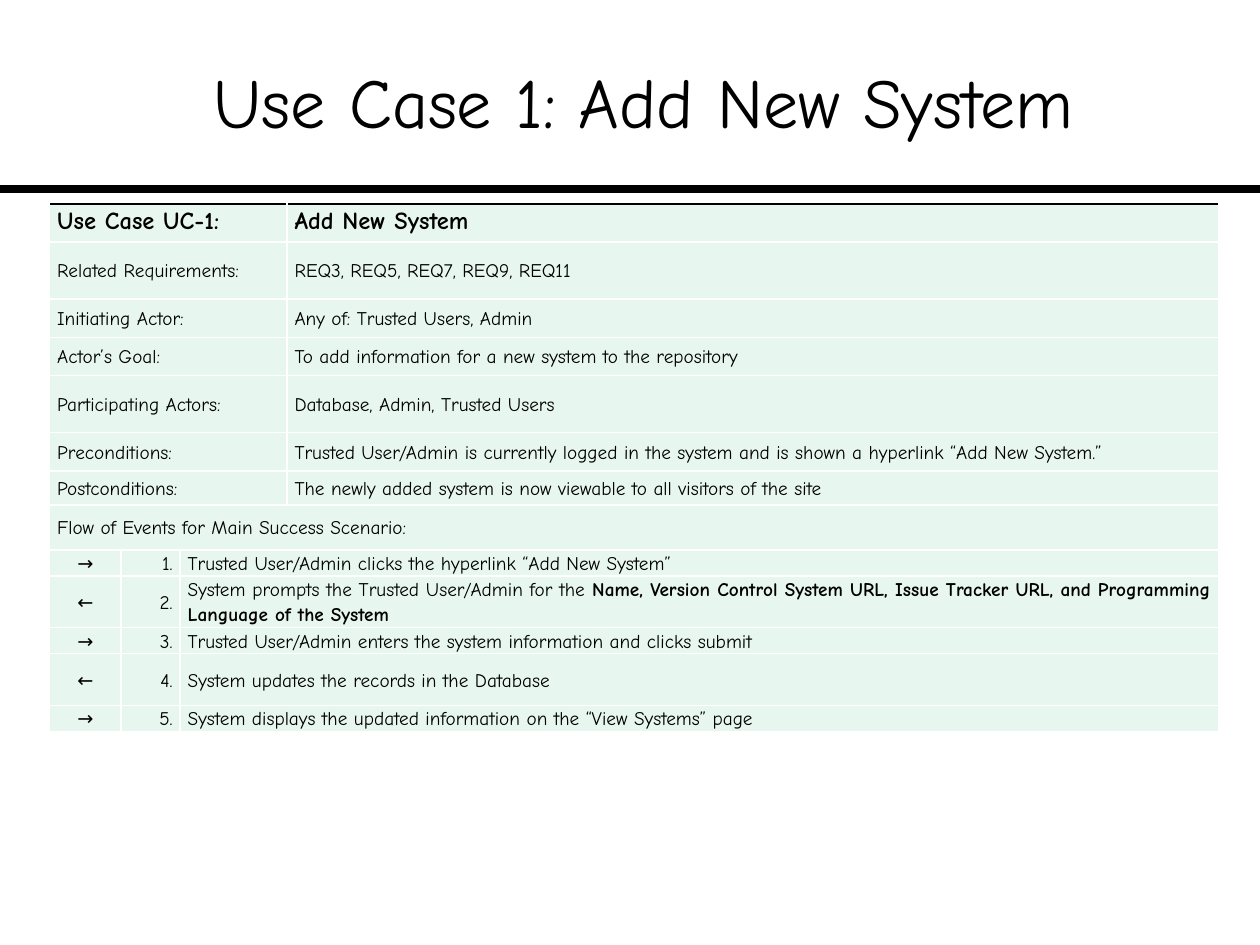
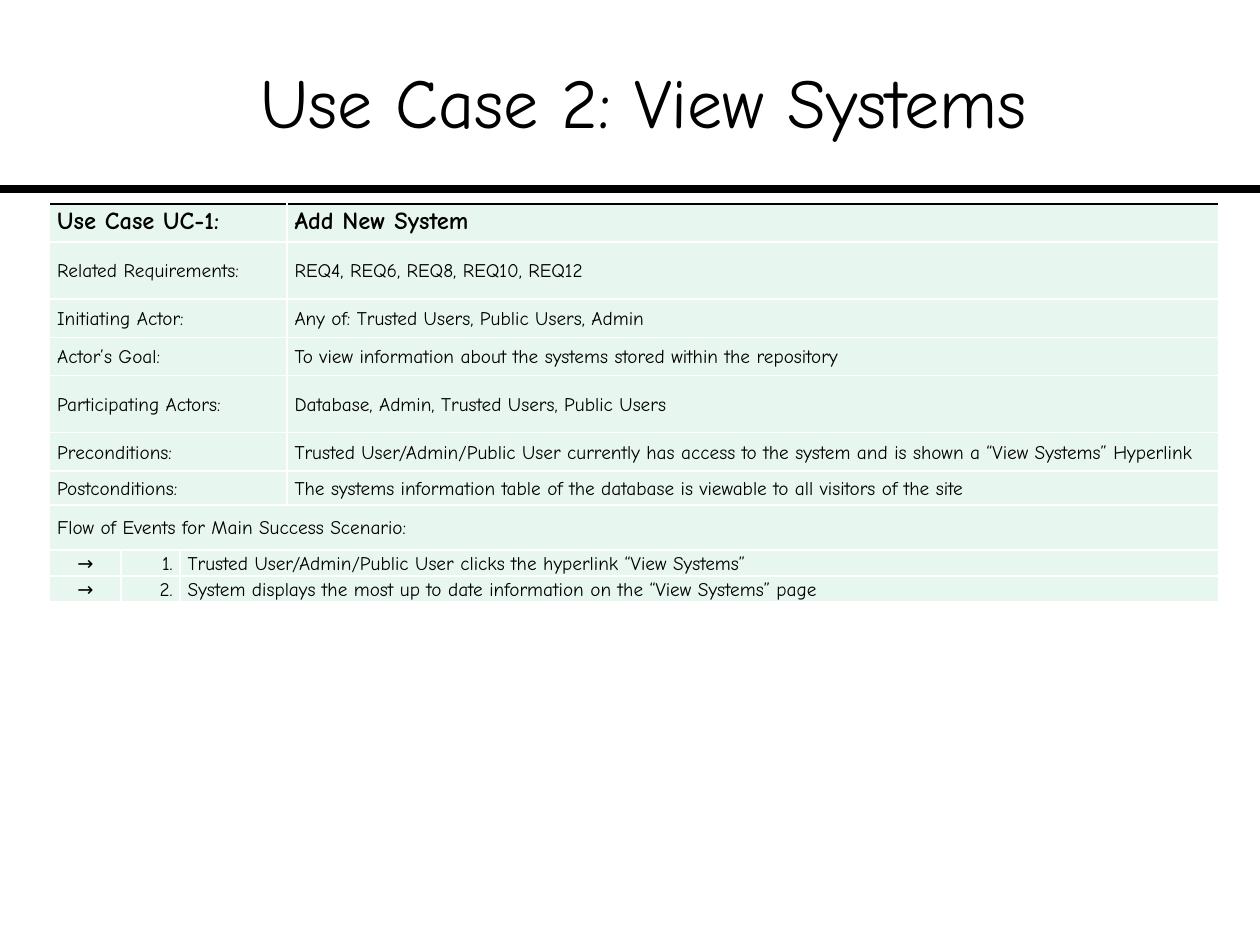
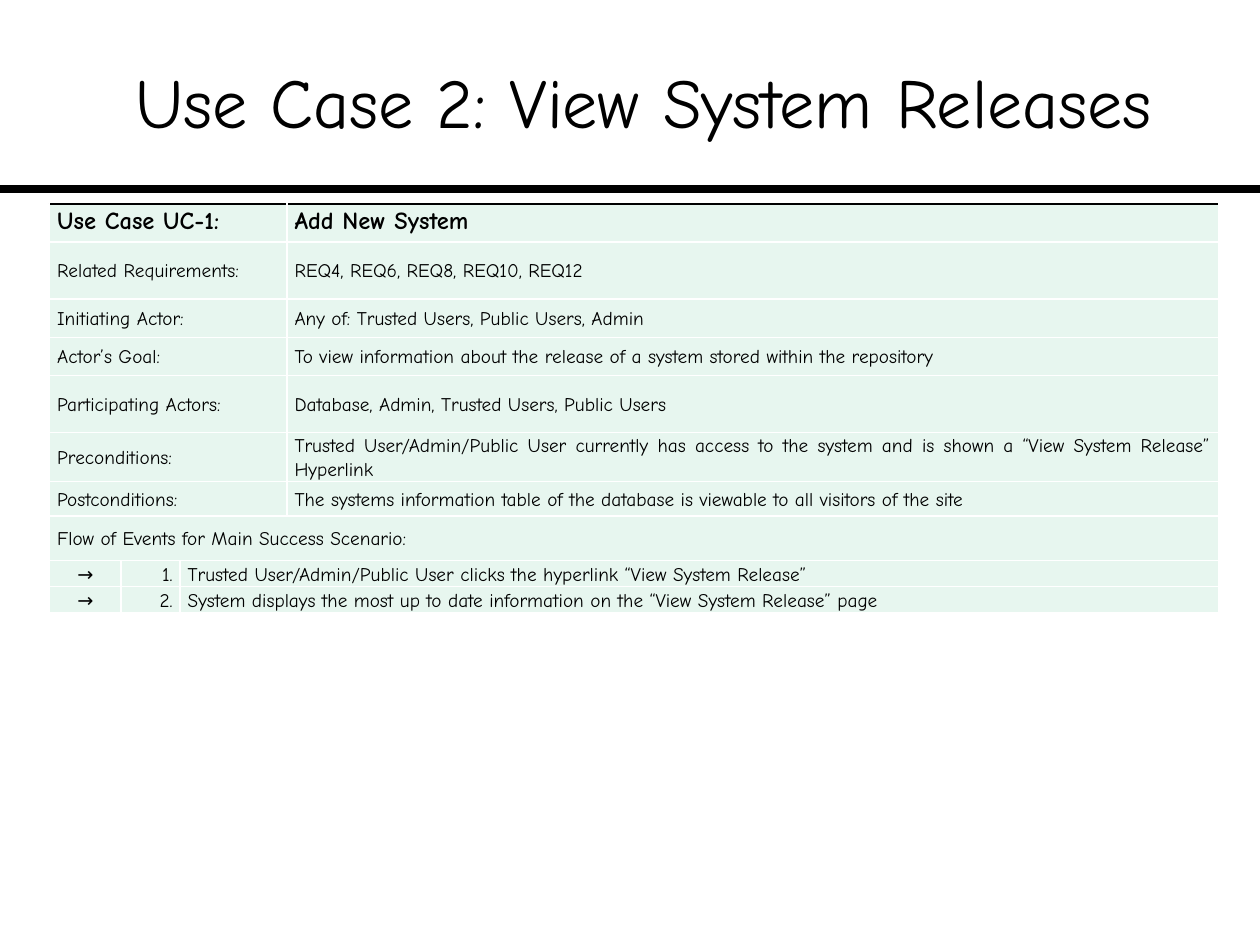
from dataclasses import dataclass

from lxml.etree import SubElement
from pptx import Presentation
from pptx.dml.color import RGBColor
from pptx.enum.shapes import MSO_CONNECTOR
from pptx.enum.text import MSO_ANCHOR, PP_ALIGN
from pptx.oxml.ns import qn
from pptx.util import Pt

COLORS = {"ink": "000000", "grid": "FFFFFF", "cell": "E7F6EF"}
FONT = "Comic Neue"
SLIDE_WIDTH, SLIDE_HEIGHT = 720, 540
TABLE_LEFT, TABLE_TOP = 28.4, 116.6
COLUMN_WIDTHS = [40.9, 33.7, 61.1, 532.3]
HEADER_HEIGHT, FLOW_HEIGHT, LINE_HEIGHT = 21.7, 25.7, 14.85
CELL_INSET = 4.3
FLOW_HEADING = "Flow of Events for Main Success Scenario:"
FIELDS = [
    ("Related Requirements:", 32.7),
    ("Initiating Actor:", 21.8),
    ("Actor’s Goal:", 21.8),
    ("Participating Actors:", 32.7),
    ("Preconditions:", 21.8),
    ("Postconditions:", 19.5),
]


@dataclass
class Step:
    arrow: str
    text: str
    bold_text: str = ""
    lines: int = 1


@dataclass
class UseCase:
    title: str
    values: list[str]
    steps: list[Step]


@dataclass
class CellStyle:
    size: float = 11
    bold: bool = False
    space_before: float = 3
    align: PP_ALIGN = PP_ALIGN.JUSTIFY


FIELD = CellStyle()
HEADER = CellStyle(size=14, bold=True)
HEADER_LABEL = CellStyle(size=14, bold=True, space_before=6)
FLOW = CellStyle(space_before=4)
STEP = CellStyle(space_before=0)
ARROW = CellStyle(space_before=0, align=PP_ALIGN.CENTER)
NUMBER = CellStyle(space_before=0, align=PP_ALIGN.RIGHT)


def color(name: str) -> RGBColor:
    return RGBColor.from_string(COLORS[name])


def add_run(paragraph, text: str, size: float, bold: bool = False) -> None:
    run = paragraph.add_run()
    run.text = text
    run.font.name = FONT
    run.font.size = Pt(size)
    run.font.bold = bold
    run.font.color.rgb = color("ink")


def add_title(slide, text: str) -> None:
    shape = slide.shapes.add_textbox(Pt(30), Pt(12.2), Pt(675.4), Pt(90))
    frame = shape.text_frame
    frame.word_wrap = True
    frame.vertical_anchor = MSO_ANCHOR.MIDDLE
    frame.margin_left = frame.margin_right = 0
    paragraph = frame.paragraphs[0]
    paragraph.alignment = PP_ALIGN.CENTER
    add_run(paragraph, text, 40)


def add_title_rule(slide) -> None:
    rule = slide.shapes.add_connector(
        MSO_CONNECTOR.STRAIGHT, 0, Pt(108), Pt(SLIDE_WIDTH), Pt(108)
    )
    rule.line.color.rgb = color("ink")
    rule.line.width = Pt(4.5)
    SubElement(rule._element.spPr, qn("a:effectLst"))


def format_cell(cell, top_color: str) -> None:
    properties = cell._tc.get_or_add_tcPr()
    for side in "LRTB":
        border = SubElement(properties, qn(f"a:ln{side}"), w=str(Pt(1)))
        fill = SubElement(border, qn("a:solidFill"))
        name = top_color if side == "T" else "grid"
        SubElement(fill, qn("a:srgbClr"), val=COLORS[name])
    cell.fill.solid()
    cell.fill.fore_color.rgb = color("cell")
    cell.vertical_anchor = MSO_ANCHOR.MIDDLE
    cell.margin_left = cell.margin_right = Pt(CELL_INSET)
    cell.margin_top = cell.margin_bottom = 0


def write_cell(cell, style: CellStyle, text: str, bold_text: str = "") -> None:
    paragraph = cell.text_frame.paragraphs[0]
    paragraph.alignment = style.align
    paragraph.line_spacing = Pt(14)
    paragraph.space_before = Pt(style.space_before)
    add_run(paragraph, text, style.size, style.bold)
    if bold_text:
        add_run(paragraph, bold_text, style.size, True)


def add_use_case_table(slide, use_case: UseCase) -> None:
    heights = [HEADER_HEIGHT, *(height for _, height in FIELDS), FLOW_HEIGHT]
    flow_row = len(heights) - 1
    heights += [LINE_HEIGHT * step.lines for step in use_case.steps]
    table = slide.shapes.add_table(
        len(heights), len(COLUMN_WIDTHS), Pt(TABLE_LEFT), Pt(TABLE_TOP),
        Pt(sum(COLUMN_WIDTHS)), Pt(sum(heights)),
    ).table
    table.first_row = table.horz_banding = False
    for column, width in zip(table.columns, COLUMN_WIDTHS):
        column.width = Pt(width)
    for index, (row, height) in enumerate(zip(table.rows, heights)):
        row.height = Pt(height)
        for cell in row.cells:
            format_cell(cell, "grid" if index else "ink")

    labels = ["Use Case UC-1:", *(label for label, _ in FIELDS)]
    values = ["Add New System", *use_case.values]
    for row, (label, value) in enumerate(zip(labels, values)):
        table.cell(row, 0).merge(table.cell(row, 2))
        write_cell(table.cell(row, 0), FIELD if row else HEADER_LABEL, label)
        write_cell(table.cell(row, 3), FIELD if row else HEADER, value)

    table.cell(flow_row, 0).merge(table.cell(flow_row, 3))
    write_cell(table.cell(flow_row, 0), FLOW, FLOW_HEADING)

    for number, step in enumerate(use_case.steps, 1):
        row = flow_row + number
        table.cell(row, 2).merge(table.cell(row, 3))
        write_cell(table.cell(row, 0), ARROW, step.arrow)
        write_cell(table.cell(row, 1), NUMBER, f"{number}.")
        write_cell(table.cell(row, 2), STEP, step.text, step.bold_text)


def view_use_case(title: str, goal: str, page: str) -> UseCase:
    return UseCase(
        title,
        [
            "REQ4, REQ6, REQ8, REQ10, REQ12",
            "Any of: Trusted Users, Public Users, Admin",
            f"To view information about {goal} stored within the repository",
            "Database, Admin, Trusted Users, Public Users",
            "Trusted User/Admin/Public User currently has access to the system "
            f"and is shown a “{page}” Hyperlink",
            "The systems information table of the database is viewable to all "
            "visitors of the site",
        ],
        [
            Step("→", f"Trusted User/Admin/Public User clicks the hyperlink “{page}”"),
            Step("→", "System displays the most up to date information on the "
                      f"“{page}” page"),
        ],
    )


USE_CASES = [
    UseCase(
        "Use Case 1: Add New System",
        [
            "REQ3, REQ5, REQ7, REQ9, REQ11",
            "Any of: Trusted Users, Admin",
            "To add information for a new system to the repository",
            "Database, Admin, Trusted Users",
            "Trusted User/Admin is currently logged in the system and is shown "
            "a hyperlink “Add New System.”",
            "The newly added system is now viewable to all visitors of the site",
        ],
        [
            Step("→", "Trusted User/Admin clicks the hyperlink “Add New System”"),
            Step("←", "System prompts the Trusted User/Admin for the ",
                 "Name, Version Control System URL, Issue Tracker URL, and "
                 "Programming Language of the System", lines=2),
            Step("→", "Trusted User/Admin enters the system information and "
                      "clicks submit"),
            Step("←", "System updates the records in the Database", lines=2),
            Step("→", "System displays the updated information on the "
                      "“View Systems” page"),
        ],
    ),
    view_use_case("Use Case 2: View Systems", "the systems", "View Systems"),
    view_use_case("Use Case 2: View System Releases", "the release of a system",
                  "View System Release"),
]


def main() -> None:
    presentation = Presentation()
    presentation.slide_width = Pt(SLIDE_WIDTH)
    presentation.slide_height = Pt(SLIDE_HEIGHT)
    for use_case in USE_CASES:
        slide = presentation.slides.add_slide(presentation.slide_layouts[6])
        add_title_rule(slide)
        add_title(slide, use_case.title)
        add_use_case_table(slide, use_case)
    presentation.save("out.pptx")


if __name__ == "__main__":
    main()
